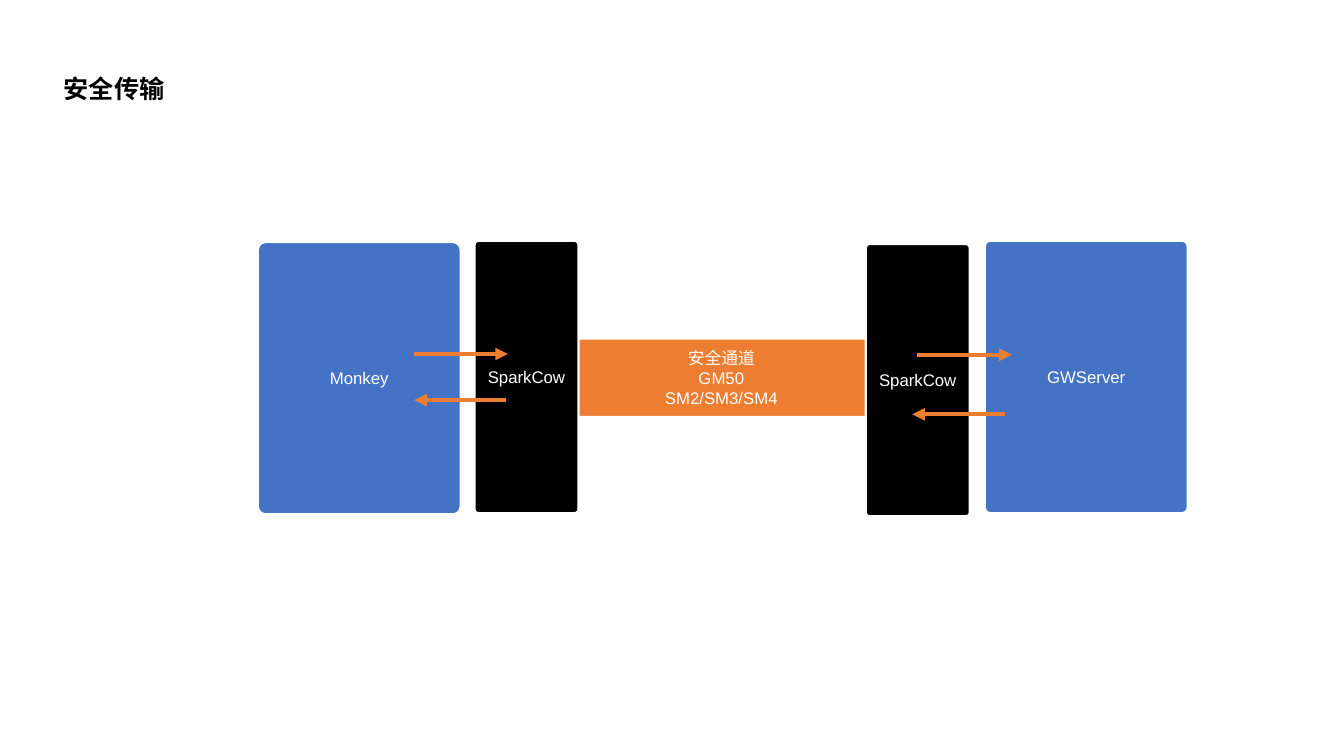
"""Build the secure transmission slide: two endpoints, two agents and a channel."""

from dataclasses import dataclass

import pptx
import pptx.dml.color
import pptx.enum.shapes
import pptx.enum.text
import pptx.oxml
import pptx.oxml.ns
import pptx.shapes.autoshape
import pptx.shapes.connector
import pptx.slide
import pptx.util

Cm = pptx.util.Cm
Pt = pptx.util.Pt
RGBColor = pptx.dml.color.RGBColor

BLACK = RGBColor(0x00, 0x00, 0x00)
WHITE = RGBColor(0xFF, 0xFF, 0xFF)
BLUE = RGBColor(0x44, 0x72, 0xC4)
ORANGE = RGBColor(0xED, 0x7D, 0x31)

BLOCK_HEIGHT = 6.86
ENDPOINT_WIDTH = 5.11
AGENT_WIDTH = 2.62

TITLE_FONT = {"name": "Roboto", "size": Pt(18), "bold": True}
LABEL_FONT = {"name": "Arial", "size": Pt(12), "bold": False}


@dataclass(frozen=True)
class Block:
    """A labelled rounded rectangle, measured in centimetres."""

    lines: tuple[str, ...]
    left: float
    top: float
    width: float
    fill: RGBColor
    height: float = BLOCK_HEIGHT
    rounding: float = 0.038


@dataclass(frozen=True)
class Arrow:
    """A horizontal arrow, measured in centimetres."""

    start: float
    end: float
    level: float


BLOCKS = (
    Block(("GWServer",), 24.82, 6.07, ENDPOINT_WIDTH, BLUE, rounding=0.027),
    Block(("Monkey",), 6.5, 6.1, ENDPOINT_WIDTH, BLUE),
    Block(("安全通道", "GM50", "SM2/SM3/SM4"), 13.94, 8.53, 8.48, ORANGE, 1.98, 0.027),
    Block(("SparkCow",), 11.96, 6.07, AGENT_WIDTH, BLACK),
    Block(("SparkCow",), 21.82, 6.15, AGENT_WIDTH, BLACK),
)

ARROWS = (
    Arrow(10.44, 12.8, 8.92),
    Arrow(23.11, 25.5, 8.94),
    Arrow(25.32, 22.99, 10.44),
    Arrow(12.75, 10.44, 10.08),
)


def set_attributes(target: object, values: dict) -> None:
    """Set every named value on the target."""
    for name, value in values.items():
        setattr(target, name, value)


def write_title(slide: pptx.slide.Slide, text: str) -> None:
    """Place and format the title placeholder."""
    title = slide.shapes.title
    position = {"left": Cm(1.35), "top": Cm(1.73), "width": Cm(3.07), "height": Cm(1.02)}
    set_attributes(title, position)
    title.text_frame.text = text
    set_attributes(title.text_frame, {
        "word_wrap": False,
        "auto_size": pptx.enum.text.MSO_AUTO_SIZE.SHAPE_TO_FIT_TEXT,
        "vertical_anchor": pptx.enum.text.MSO_ANCHOR.TOP,
    })
    paragraph = title.text_frame.paragraphs[0]
    paragraph.alignment = pptx.enum.text.PP_ALIGN.LEFT
    font = paragraph.runs[0].font
    set_attributes(font, TITLE_FONT)
    font.color.rgb = BLACK


def draw_block(slide: pptx.slide.Slide, block: Block) -> pptx.shapes.autoshape.Shape:
    """Draw a block with its centred label."""
    shape = slide.shapes.add_shape(
        pptx.enum.shapes.MSO_SHAPE.ROUNDED_RECTANGLE,
        Cm(block.left), Cm(block.top), Cm(block.width), Cm(block.height),
    )
    shape.adjustments[0] = block.rounding
    shape.shadow.inherit = False
    shape.fill.solid()
    shape.fill.fore_color.rgb = block.fill
    shape.line.color.rgb = WHITE
    shape.line.width = Pt(1.5)
    shape.text_frame.text = "\n".join(block.lines)
    set_attributes(shape.text_frame, {
        "word_wrap": True,
        "vertical_anchor": pptx.enum.text.MSO_ANCHOR.MIDDLE,
    })
    for paragraph in shape.text_frame.paragraphs:
        paragraph.alignment = pptx.enum.text.PP_ALIGN.CENTER
        font = paragraph.runs[0].font
        set_attributes(font, LABEL_FONT)
        font.color.rgb = WHITE
    return shape


def draw_arrow(slide: pptx.slide.Slide, arrow: Arrow) -> pptx.shapes.connector.Connector:
    """Draw an arrow with a triangular head at its end."""
    connector = slide.shapes.add_connector(
        pptx.enum.shapes.MSO_CONNECTOR.STRAIGHT,
        Cm(arrow.start), Cm(arrow.level), Cm(arrow.end), Cm(arrow.level),
    )
    connector.line.color.rgb = ORANGE
    connector.line.width = Pt(3)
    head = pptx.oxml.parse_xml(
        f'<a:tailEnd {pptx.oxml.ns.nsdecls("a")} type="triangle"/>'
    )
    connector.line._get_or_add_ln().append(head)
    no_effects = pptx.oxml.parse_xml(f'<a:effectLst {pptx.oxml.ns.nsdecls("a")}/>')
    connector._element.spPr.append(no_effects)
    return connector


def main() -> None:
    """Build and save the presentation."""
    presentation = pptx.Presentation()
    set_attributes(presentation, {"slide_width": Cm(33.87), "slide_height": Cm(19.05)})
    title_only = presentation.slide_layouts.get_by_name("Title Only")
    slide = presentation.slides.add_slide(title_only)
    write_title(slide, "安全传输")
    for block in BLOCKS:
        draw_block(slide, block)
    for arrow in ARROWS:
        draw_arrow(slide, arrow)
    presentation.save("out.pptx")


if __name__ == "__main__":
    main()
